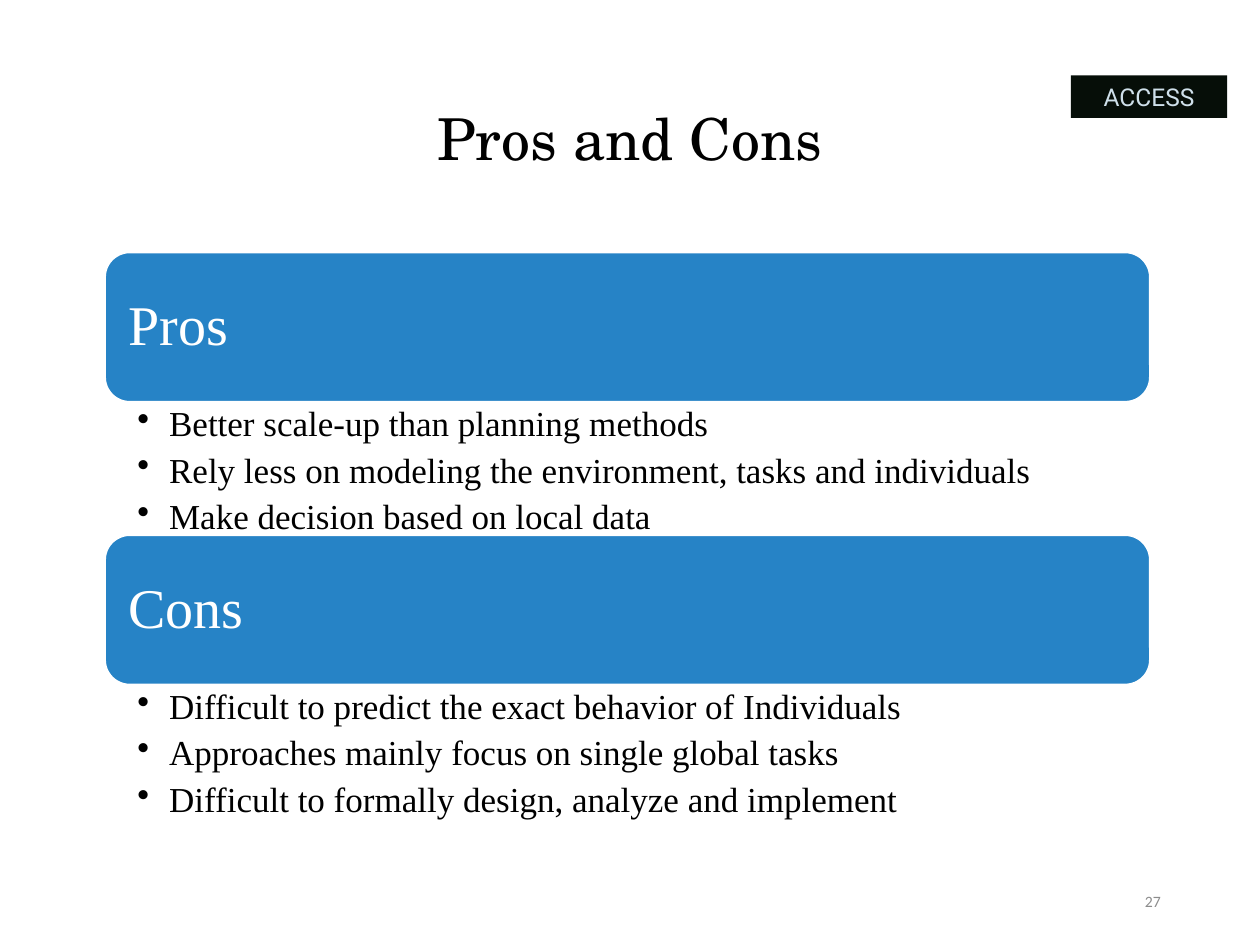
from lxml.etree import SubElement
from pptx import Presentation
from pptx.dml.color import RGBColor
from pptx.enum.shapes import MSO_SHAPE
from pptx.enum.text import MSO_ANCHOR, PP_ALIGN
from pptx.oxml.ns import qn
from pptx.util import Cm, Pt

BLACK = RGBColor(0x00, 0x00, 0x00)
WHITE = RGBColor(0xFF, 0xFF, 0xFF)
BLUE = RGBColor(0x26, 0x83, 0xC6)
GREY = RGBColor(0x8C, 0x8C, 0x8C)
DARK = RGBColor(0x06, 0x0E, 0x08)
PALE = RGBColor(0xCF, 0xE0, 0xEA)

SECTIONS = [
    ("Pros", [
        "Better scale-up than planning methods",
        "Rely less on modeling the environment, tasks and individuals",
        "Make decision based on local data",
    ]),
    ("Cons", [
        "Difficult to predict the exact behavior of Individuals",
        "Approaches mainly focus on single global tasks",
        "Difficult to formally design, analyze and implement",
    ]),
]
LEFT, TOP, WIDTH = 2.11, 5.08, 21.08
CARD_HEIGHT, LIST_HEIGHT = 3.03, 2.67


class Deck:
    body_font = "Times New Roman"

    def __init__(self, prs):
        self.s = prs.slides.add_slide(prs.slide_layouts[6])

    def style_text(self, sp, text, size, color, font=None, align=PP_ALIGN.LEFT,
                   anchor=MSO_ANCHOR.MIDDLE, spacing=1.0):
        tf = sp.text_frame
        tf.word_wrap = True
        tf.vertical_anchor = anchor
        tf.text = text
        for p in tf.paragraphs:
            p.alignment = align
            p.line_spacing = spacing
            for r in p.runs:
                r.font.name = font or self.body_font
                r.font.size = Pt(size)
                r.font.color.rgb = color
        return tf

    def text(self, box, text, size, color, **style):
        sp = self.s.shapes.add_textbox(*map(Cm, box))
        return self.style_text(sp, text, size, color, **style)

    def shape(self, kind, box, fill, line=None):
        sp = self.s.shapes.add_shape(kind, *map(Cm, box))
        sp.shadow.inherit = False
        sp.fill.solid()
        sp.fill.fore_color.rgb = fill
        if line is None:
            sp.line.fill.background()
        else:
            sp.line.color.rgb = line
            sp.line.width = Pt(1.5)
        return sp

    def badge(self, box, text):
        sp = self.shape(MSO_SHAPE.RECTANGLE, box, DARK)
        self.style_text(sp, text, 14, PALE, font="Roboto", align=PP_ALIGN.CENTER)

    def card(self, box, text):
        sp = self.shape(MSO_SHAPE.ROUNDED_RECTANGLE, box, BLUE, WHITE)
        tf = self.style_text(sp, text, 32, WHITE, spacing=0.9)
        tf.margin_left = tf.margin_right = Cm(0.33)

    def bullets(self, box, items):
        tf = self.text(box, "\n".join(items), 20, BLACK,
                       anchor=MSO_ANCHOR.TOP, spacing=0.9)
        tf.margin_left, tf.margin_right = Cm(0.66), Cm(0.41)
        tf.margin_top = tf.margin_bottom = Cm(0.08)
        for p in tf.paragraphs:
            p.level = 1
            p.space_after = Pt(5)
            pPr = p._p.get_or_add_pPr()
            pPr.set("marL", str(Cm(0.64)))
            pPr.set("indent", str(-Cm(0.64)))
            SubElement(pPr, qn("a:buChar")).set("char", "•")


def main():
    prs = Presentation()
    prs.slide_width, prs.slide_height = Cm(25.4), Cm(19.05)
    deck = Deck(prs)
    deck.text((1.75, 1.02, 21.9, 3.68), "Pros and Cons", 33, BLACK,
              font="TeX Gyre Schola", align=PP_ALIGN.CENTER, spacing=0.9)
    deck.text((17.93, 17.65, 5.72, 1.02), "27", 9, GREY,
              font="Calibri", align=PP_ALIGN.RIGHT)
    for i, (heading, items) in enumerate(SECTIONS):
        top = TOP + i * (CARD_HEIGHT + LIST_HEIGHT)
        deck.card((LEFT, top, WIDTH, CARD_HEIGHT), heading)
        deck.bullets((LEFT, top + CARD_HEIGHT, WIDTH, LIST_HEIGHT), items)
    deck.badge((21.59, 1.52, 3.15, 0.86), "ACCESS")
    prs.save("out.pptx")


if __name__ == "__main__":
    main()
